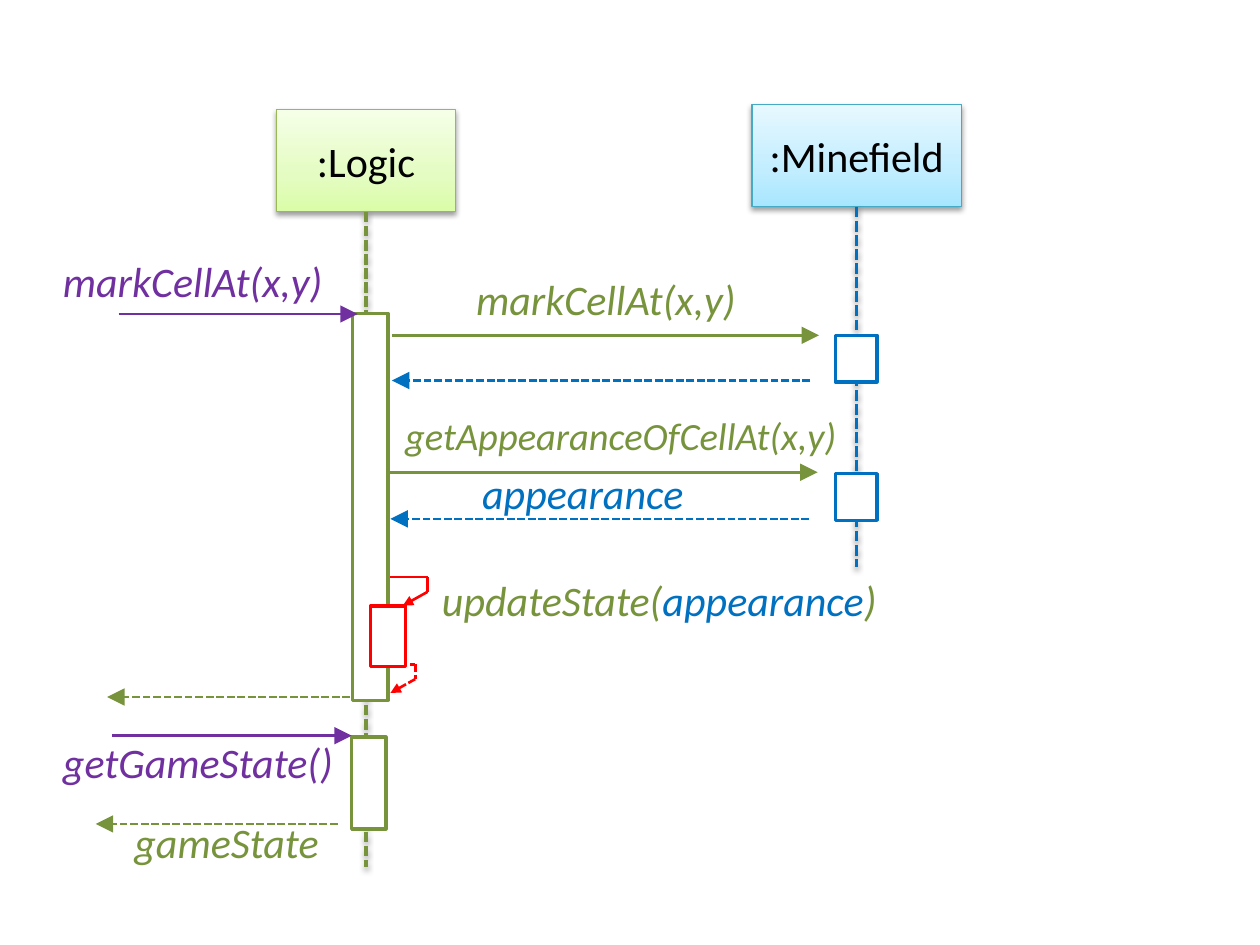
from copy import deepcopy

from lxml.etree import SubElement
from pptx import Presentation
from pptx.dml.color import RGBColor
from pptx.enum.dml import MSO_LINE
from pptx.enum.shapes import MSO_CONNECTOR, MSO_SHAPE
from pptx.enum.text import MSO_ANCHOR, MSO_AUTO_SIZE, PP_ALIGN
from pptx.oxml.ns import qn
from pptx.util import Cm, Pt

FONT = "Calibri"
BLACK = RGBColor(0x00, 0x00, 0x00)
WHITE = RGBColor(0xFF, 0xFF, 0xFF)
GREEN = RGBColor(0x77, 0x93, 0x3C)
BLUE = RGBColor(0x00, 0x70, 0xC0)
PURPLE = RGBColor(0x70, 0x30, 0xA0)
RED = RGBColor(0xFF, 0x00, 0x00)
LOGIC_LINE = RGBColor(0x98, 0xB9, 0x55)
LOGIC_FILL = (RGBColor(0xDA, 0xFD, 0xA7), RGBColor(0xE4, 0xFC, 0xC2), RGBColor(0xF5, 0xFF, 0xE7))
MINEFIELD_LINE = RGBColor(0x46, 0xAA, 0xC5)
MINEFIELD_FILL = (RGBColor(0xA7, 0xE6, 0xFF), RGBColor(0xC1, 0xED, 0xFF), RGBColor(0xE7, 0xF8, 0xFF))
LABEL_HEIGHT = 1.27


def set_effects(shape, shadow=False):
    """Replace the theme's effects with none, or with a soft shadow below."""
    properties = shape._element.spPr
    effects = properties.find(qn("a:effectLst"))
    if effects is None:
        effects = SubElement(properties, qn("a:effectLst"))
    if shadow:
        outer = SubElement(effects, qn("a:outerShdw"), blurRad="40000", dist="20000",
                           dir="5400000", rotWithShape="0")
        color = SubElement(outer, qn("a:srgbClr"), val="000000")
        SubElement(color, qn("a:alpha"), val="38000")


def set_gradient(shape, colors):
    """Fill upwards with three colours, the middle one at 35 percent."""
    fill = shape.fill
    fill.gradient()
    fill.gradient_angle = 90
    first_stop = shape._element.spPr.find(".//" + qn("a:gs"))
    first_stop.addnext(deepcopy(first_stop))
    for stop, color, position in zip(fill.gradient_stops, colors, (0, 0.35, 1)):
        stop.color.rgb = color
        stop.position = position


def write_text(shape, runs, size=24, italic=True, align=PP_ALIGN.LEFT):
    """Write (text, colour) runs as one paragraph."""
    frame = shape.text_frame
    frame.word_wrap = True
    frame.auto_size = MSO_AUTO_SIZE.SHAPE_TO_FIT_TEXT
    paragraph = frame.paragraphs[0]
    paragraph.alignment = align
    for text, color in runs:
        run = paragraph.add_run()
        run.text = text
        run.font.name = FONT
        run.font.size = Pt(size)
        run.font.italic = italic
        run.font.color.rgb = color


def add_rectangle(slide, left, top, width, height, line_color, line_width=2):
    shape = slide.shapes.add_shape(MSO_SHAPE.RECTANGLE, Cm(left), Cm(top), Cm(width), Cm(height))
    shape.shadow.inherit = False
    shape.fill.solid()
    shape.fill.fore_color.rgb = WHITE
    shape.line.color.rgb = line_color
    shape.line.width = Pt(line_width)
    return shape


def add_participant(slide, name, left, top, width, colors, line_color):
    shape = add_rectangle(slide, left, top, width, 2.06, line_color, 0.75)
    set_gradient(shape, colors)
    set_effects(shape, shadow=True)
    frame = shape.text_frame
    frame.margin_top = frame.margin_bottom = Cm(0.51)
    frame.vertical_anchor = MSO_ANCHOR.MIDDLE
    write_text(shape, [(name, BLACK)], italic=False, align=PP_ALIGN.CENTER)
    return shape


def add_line(shapes, start, end, color, width=1.5, dashed=False, arrow=None, shadow=False):
    """Draw a line; arrow is the size of the arrowhead at its end."""
    connector = shapes.add_connector(MSO_CONNECTOR.STRAIGHT, *map(Cm, start + end))
    line = connector.line
    line.color.rgb = color
    line.width = Pt(width)
    if dashed:
        line.dash_style = MSO_LINE.SQUARE_DOT
    if arrow:
        SubElement(connector._element.spPr.find(qn("a:ln")), qn("a:tailEnd"),
                   type="triangle", w=arrow, len=arrow)
    set_effects(connector, shadow)
    return connector


def add_lifeline(slide, participant, bottom, color):
    center = (participant.left + participant.width // 2) / Cm(1)
    lifeline = add_line(slide.shapes, (center, 3), (center, bottom), color, 2,
                        dashed=True, shadow=True)
    lifeline.begin_connect(participant, 2)


def add_message(slide, start, end, y, color, dashed=False):
    add_line(slide.shapes, (start, y), (end, y), color, dashed=dashed, arrow="lg")


def add_label(slide, left, top, width, runs, size=24):
    box = slide.shapes.add_textbox(Cm(left), Cm(top), Cm(width), Cm(LABEL_HEIGHT))
    write_text(box, runs, size)


def add_self_call(slide, left, top, dashed=False):
    """Group three lines that leave a lifeline and turn back to it."""
    group = slide.shapes.add_group_shape()
    right = left + 0.75
    points = [(left, top), (right, top), (right, top + 0.3), (left + 0.25, top + 0.58)]
    for start, end, arrow in zip(points, points[1:], (None, None, "med")):
        add_line(group.shapes, start, end, RED, dashed=dashed, arrow=arrow)


def main():
    presentation = Presentation()
    presentation.slide_width, presentation.slide_height = Cm(25.4), Cm(19.05)
    slide = presentation.slides.add_slide(presentation.slide_layouts[6])

    minefield = add_participant(slide, ":Minefield", 15.16, 2.11, 4.22, MINEFIELD_FILL, MINEFIELD_LINE)
    logic = add_participant(slide, ":Logic", 5.58, 2.21, 3.6, LOGIC_FILL, LOGIC_LINE)
    add_lifeline(slide, logic, 17.48, GREEN)
    add_lifeline(slide, minefield, 11.43, BLUE)

    add_rectangle(slide, 7.11, 6.32, 0.71, 7.8, GREEN)
    add_rectangle(slide, 7.09, 14.86, 0.69, 1.85, GREEN)
    for top in (6.76, 9.55):
        add_rectangle(slide, 16.84, top, 0.84, 0.94, BLUE)

    for start, end, y, color in (
        (2.39, 7.21, 6.33, PURPLE),
        (7.9, 16.51, 6.76, GREEN),
        (7.87, 16.48, 9.52, GREEN),
        (2.26, 7.09, 14.83, PURPLE),
    ):
        add_message(slide, start, end, y, color)
    for start, end, y, color in (
        (16.33, 7.9, 7.67, BLUE),
        (16.31, 7.87, 10.46, BLUE),
        (7.06, 2.16, 14.05, GREEN),
        (6.81, 1.93, 16.61, GREEN),
    ):
        add_message(slide, start, end, y, color, dashed=True)

    add_label(slide, 1.02, 5.03, 5.89, [("markCellAt(x,y)", PURPLE)])
    add_label(slide, 9.35, 5.38, 5.94, [("markCellAt(x,y)", GREEN)])
    add_label(slide, 7.92, 8.18, 9.63, [("getAppearanceOfCellAt(x,y)", GREEN)], size=22)
    add_label(slide, 9.47, 9.3, 5.87, [("appearance", BLUE)])
    add_label(slide, 8.66, 11.46, 10.49,
              [("updateState(", GREEN), ("appearance", BLUE), (")", GREEN)])
    add_label(slide, 1.02, 14.73, 6.55, [("getGameState()", PURPLE)])
    add_label(slide, 2.46, 16.33, 4.42, [("gameState", GREEN)])

    add_self_call(slide, 7.87, 11.63)
    add_self_call(slide, 7.62, 13.39, dashed=True)
    add_rectangle(slide, 7.47, 12.22, 0.71, 1.22, RED)

    presentation.save("out.pptx")


if __name__ == "__main__":
    main()
